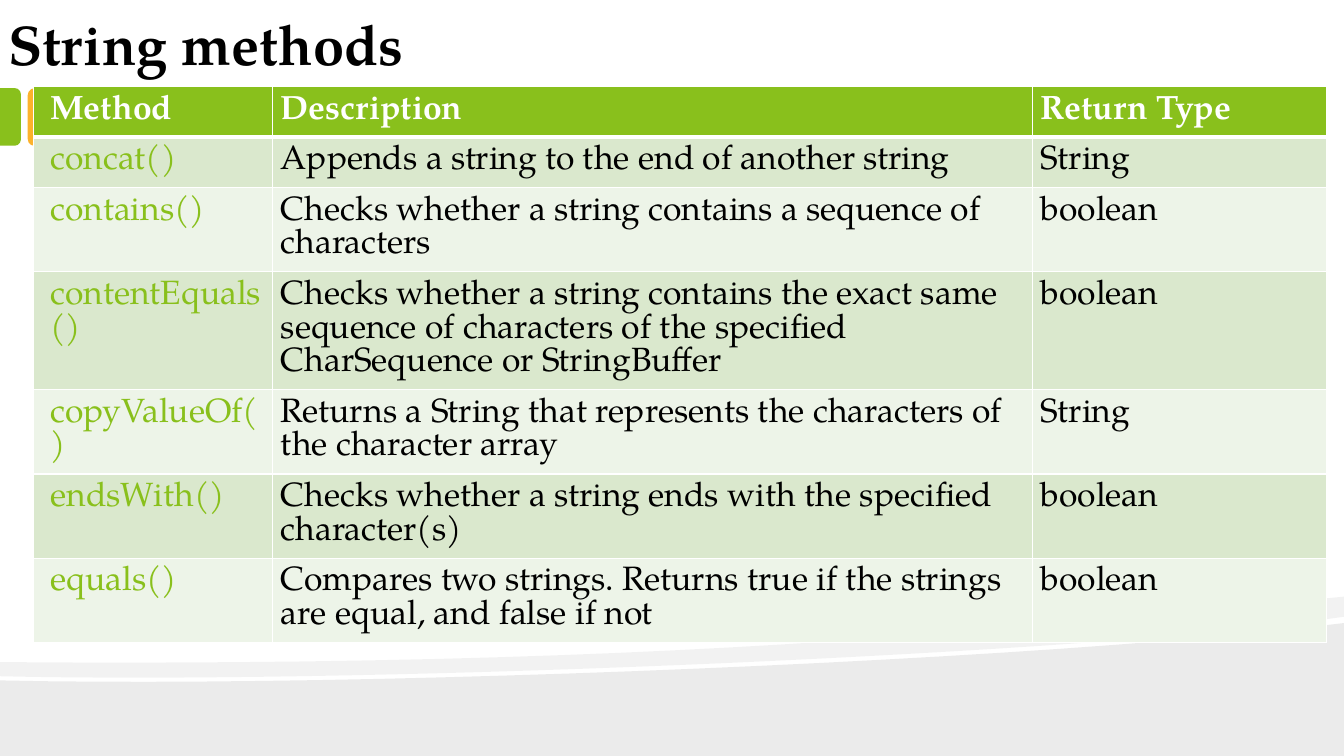
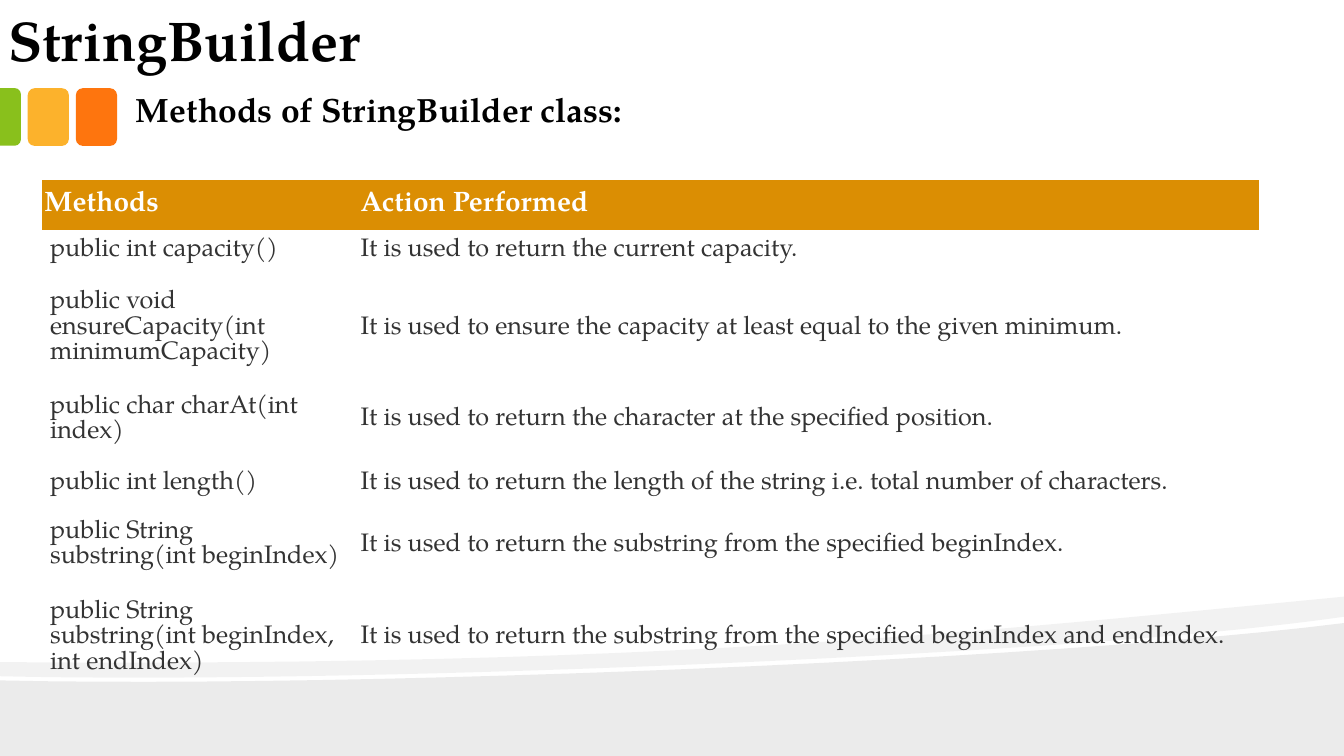
"""Two slides on the methods of strings and string builders."""
from lxml import etree
from pptx import Presentation, util as u
from pptx.dml import color
from pptx.enum import shapes, text
from pptx.oxml import ns

FONT = "TeX Gyre Pagella"
BLACK, WHITE, GREY = "000000", "FFFFFF", "333333"
GREEN, AMBER, RED, GOLD = "89C01C", "FCB22C", "FE750E", "DB8E03"
BANDS = ("DAE8CD", "EDF4E8")
PLAIN = "{2D5ABB26-0587-4C30-8999-92F81FD0307C}"
PAD = 6

STRING = (
    ("Method", "Description", "Return Type"),
    ("concat()", "Appends a string to the end of another string", "String"),
    ("contains()", "Checks whether a string contains a sequence of characters",
     "boolean"),
    ("contentEquals()", "Checks whether a string contains the exact same "
     "sequence of characters of the specified CharSequence or StringBuffer",
     "boolean"),
    ("copyValueOf()", "Returns a String that represents the characters of "
     "the character array", "String"),
    ("endsWith()", "Checks whether a string ends with the specified "
     "character(s)", "boolean"),
    ("equals()", "Compares two strings. Returns true if the strings are "
     "equal, and false if not", "boolean"),
)
BUILDER = (
    ("Methods", "Action Performed"),
    ("public int capacity()", "It is used to return the current capacity."),
    ("public void ensureCapacity(int minimumCapacity)",
     "It is used to ensure the capacity at least equal to the given minimum."),
    ("public char charAt(int index)",
     "It is used to return the character at the specified position."),
    ("public int length()", "It is used to return the length of the string "
     "i.e. total number of characters."),
    ("public String substring(int beginIndex)",
     "It is used to return the substring from the specified beginIndex."),
    ("public String substring(int beginIndex, int endIndex)",
     "It is used to return the substring from the specified beginIndex "
     "and endIndex."),
)


def rgb(code):
    """Turn a hex string into a colour."""
    return color.RGBColor.from_string(code)


def paint(shape, code, alpha=None):
    """Fill a shape flat, without line or shadow."""
    shape.shadow.inherit = False
    shape.fill.solid()
    shape.fill.fore_color.rgb = rgb(code)
    shape.line.fill.background()
    if alpha:
        fill = shape.element.spPr.find(ns.qn("a:solidFill"))
        etree.SubElement(fill[0], ns.qn("a:alpha"), val=str(alpha * 1000))


def place(shape, left, top, width, height):
    """Move and size a shape, in points."""
    shape.left, shape.top = u.Pt(left), u.Pt(top)
    shape.width, shape.height = u.Pt(width), u.Pt(height)


def write(frame, words, size, code, bold=False, line=None):
    """Put one run of text into a frame."""
    para = frame.paragraphs[0]
    para.alignment = text.PP_ALIGN.LEFT
    if line:
        para.line_spacing = u.Pt(line)
    run = para.add_run()
    run.text = words
    run.font.name, run.font.size = FONT, u.Pt(size)
    run.font.bold, run.font.color.rgb = bold, rgb(code)


def curve(start, *ends, steps=24):
    """List the points of a cubic curve after its start."""
    knots = (start,) + ends
    points = []
    for step in range(1, steps + 1):
        t = step / steps
        parts = ((1 - t) ** 3, 3 * t * (1 - t) ** 2, 3 * t * t * (1 - t), t ** 3)
        points.append(tuple(sum(p * k[axis] for p, k in zip(parts, knots))
                            for axis in (0, 1)))
    return points


def wave(slide, points, alpha):
    """Draw a closed, see-through outline."""
    spots = [(u.Pt(x), u.Pt(y)) for x, y in points]
    pen = slide.shapes.build_freeform(*spots[0])
    pen.add_line_segments(spots[1:], close=True)
    shape = pen.convert_to_shape()
    paint(shape, BLACK, alpha)
    return shape


def tab(slide, kind, box, code):
    """Draw one of the coloured tabs at the left edge."""
    shape = slide.shapes.add_shape(kind, *map(u.Pt, box))
    paint(shape, code)
    return shape


def decor(slide, layout):
    """Draw the shared waves and tabs and hand them to the layout."""
    kind = shapes.MSO_SHAPE
    low = [(0, 486)] + curve((0, 486), (253.4, 491.8), (750.2, 471.6),
                             (960, 445))
    high = [(960, 426.2), (960, 440.6)]
    high += curve(high[-1], (903.6, 448.6), (827.3, 455.8), (740.9, 461.5))
    high += curve(high[-1], (502.6, 477.4), (185.8, 487.4), (0, 483.1))
    high += [(0, 473)] + curve((0, 473), (469.4, 476.6), (699.1, 451.4),
                               (960, 426.2))
    edge = tab(slide, kind.ROUND_2_SAME_RECTANGLE, (-13.2, 76, 41.2, 15), GREEN)
    edge.rotation = 90
    edge.adjustments[0] = 0.29
    parts = [wave(slide, low + [(960, 540), (0, 540)], 8),
             wave(slide, high, 5),
             tab(slide, kind.ROUNDED_RECTANGLE, (54.2, 63, 29.4, 41.2), RED),
             tab(slide, kind.ROUNDED_RECTANGLE, (19.8, 63, 29.4, 41.2), AMBER),
             edge]
    for count, part in enumerate(parts, 50):
        part.element.xpath(".//p:cNvPr")[0].set("id", str(count))
        layout.shapes.element.append(part.element)


def title(slide, words, top):
    """Move and fill the title."""
    shape = slide.shapes.title
    place(shape, -3, top, 746.6, 59.8)
    frame = shape.text_frame
    frame.word_wrap, frame.auto_size = True, text.MSO_AUTO_SIZE.NONE
    frame.vertical_anchor = text.MSO_ANCHOR.BOTTOM
    frame.margin_left = frame.margin_right = u.Pt(9.4)
    frame.margin_top = frame.margin_bottom = u.Pt(5)
    write(frame, words, 40, BLACK, True, 40)


def label(slide, words, box):
    """Add a bold heading below the title."""
    frame = slide.shapes.add_textbox(*map(u.Pt, box)).text_frame
    frame.word_wrap = True
    write(frame, words, 24, BLACK, True)


def rule(cell, base):
    """Give a cell white borders, the lower one of its own width."""
    prop = cell._tc.get_or_add_tcPr()
    for side, width in zip("LRTB", (1, 1, 1, base)):
        line = etree.SubElement(prop, ns.qn(f"a:ln{side}"), w=str(u.Pt(width)))
        fill = etree.SubElement(line, ns.qn("a:solidFill"))
        etree.SubElement(fill, ns.qn("a:srgbClr"), val=WHITE)


def grid(slide, rows, spot, widths, heights):
    """Add an unstyled table and yield its cells with place and words."""
    size = sum(widths), sum(heights)
    frame = slide.shapes.add_table(len(rows), len(widths),
                                   *map(u.Pt, spot + size))
    frame.element.xpath(".//a:tableStyleId")[0].text = PLAIN
    table = frame.table
    table.first_row = table.horz_banding = False
    for col, width in zip(table.columns, widths):
        col.width = u.Pt(width)
    for row, height in zip(table.rows, heights):
        row.height = u.Pt(height)
    for r, row in enumerate(rows):
        for c, words in enumerate(row):
            yield table.cell(r, c), r, c, words


def fill(cell, code, left, right=PAD):
    """Set the fill and margins of a cell."""
    if code:
        cell.fill.solid()
        cell.fill.fore_color.rgb = rgb(code)
    else:
        cell.fill.background()
    cell.margin_left, cell.margin_right = u.Pt(left), u.Pt(right)
    cell.margin_top = cell.margin_bottom = u.Pt(PAD)


def banded(slide):
    """Add the green table of string methods."""
    heights = (35.7, 36.2, 60.2, 84.2, 60.2, 60.2, 60.2)
    for cell, r, c, words in grid(slide, STRING, (24, 61.8),
                                  (170.6, 542.9, 210.2), heights):
        head = r == 0
        rule(cell, 3 if head or r == 0 else 1)
        fill(cell, GREEN if head else BANDS[(r - 1) % 2], PAD if c else 12)
        ink = WHITE if head else BLACK if c else GREEN
        write(cell.text_frame, words, 24, ink, head, 24)


def clear(slide):
    """Add the table of builder methods, filled in its head only."""
    heights = (35.7, 30, 80.7, 50.5, 40, 48.5, 84)
    for cell, r, c, words in grid(slide, BUILDER, (29.8, 128.6),
                                  (221.8, 648), heights):
        head = r == 0
        side = 2 if head and c == 0 else PAD
        fill(cell, GOLD if head else None, side, side)
        cell.vertical_anchor = text.MSO_ANCHOR.MIDDLE
        size = 20 if head else 18
        write(cell.text_frame, words, size, WHITE if head else GREY, head, size)


def main():
    """Build and save both slides."""
    deck = Presentation()
    deck.slide_width, deck.slide_height = u.Pt(960), u.Pt(540)
    layout = deck.slide_layouts[5]
    first, second = (deck.slides.add_slide(layout) for _ in range(2))
    decor(first, layout)
    title(first, "String methods", 0)
    banded(first)
    title(second, "StringBuilder", -3)
    label(second, "Methods of StringBuilder class:", (90, 59.8, 822, 36))
    clear(second)
    deck.save("out.pptx")


main()
